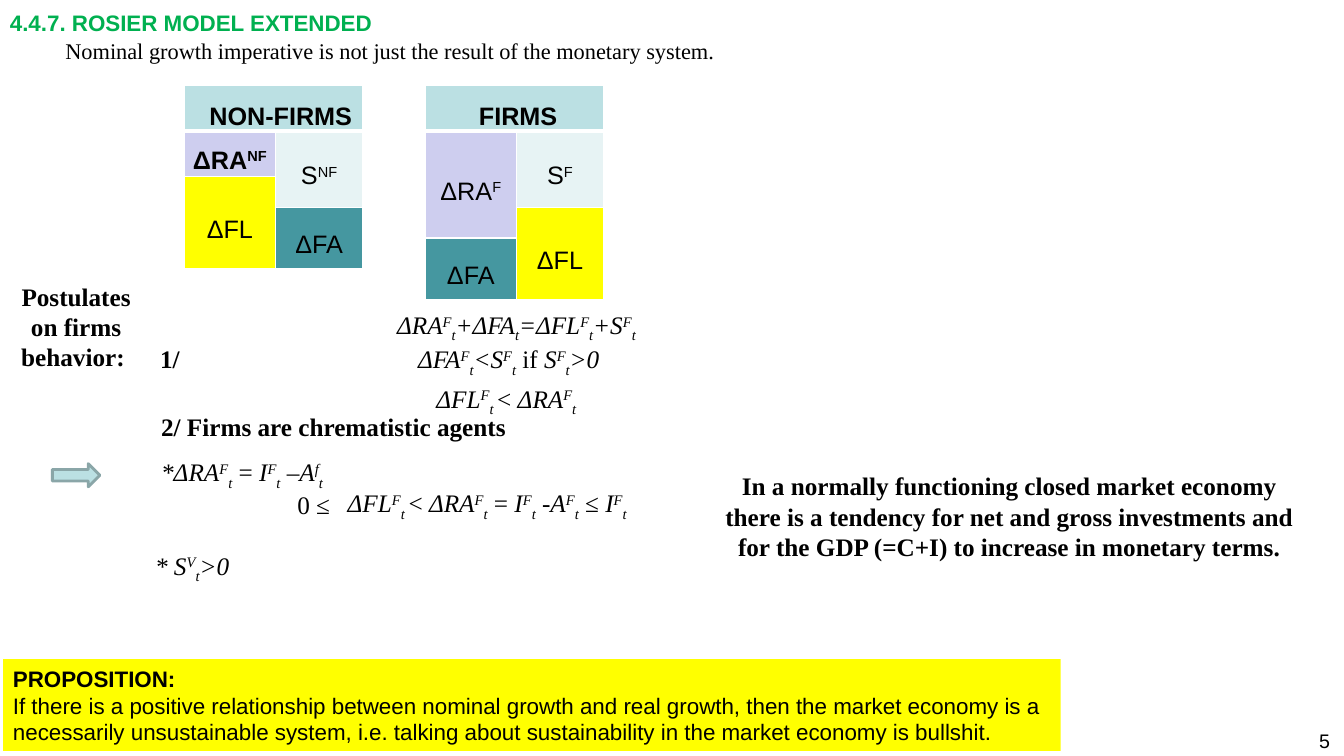
from lxml import etree
from pptx import Presentation
from pptx.dml.color import RGBColor
from pptx.enum.shapes import MSO_SHAPE
from pptx.enum.text import MSO_ANCHOR, MSO_AUTO_SIZE, PP_ALIGN
from pptx.oxml.ns import qn
from pptx.util import Emu, Pt

LEFT, CENTER, RIGHT = PP_ALIGN.LEFT, PP_ALIGN.CENTER, PP_ALIGN.RIGHT
MIDDLE, BOTTOM = MSO_ANCHOR.MIDDLE, MSO_ANCHOR.BOTTOM
FIT_SHAPE = MSO_AUTO_SIZE.SHAPE_TO_FIT_TEXT
RECTANGLE, RIGHT_ARROW = MSO_SHAPE.RECTANGLE, MSO_SHAPE.RIGHT_ARROW

PX = 9144  # 100 px to the inch
SLIDE_SIZE = (1333, 750)
BLACK, WHITE, GREEN, YELLOW = "000000", "FFFFFF", "00B050", "FFFF00"
PALE_BLUE, LILAC, MIST, TEAL = "BBE0E3", "CECEEF", "E7F3F4", "4597A0"
ARROW_LINE = "8AA6A8"

# Formats
SANS = {"name": "Arial", "size": 18, "color": BLACK}
SERIF = {**SANS, "name": "Times New Roman"}
SANS_BOLD = {**SANS, "bold": True}
BOLD = {**SERIF, "bold": True}
FORMULA = {**SERIF, "italic": True}
SMALL_SANS = {**SANS, "size": 16}
SMALL_SERIF = {**SERIF, "size": 16}
TITLE = {**SMALL_SANS, "bold": True, "color": GREEN}
PAGE_NUMBER = {**SANS, "size": 14}

# Markup: {^x} superscript, {_x} subscript, {|x} upright
MARKS = {"^": "30000", "_": "-25000"}

# text, (left, top, width, height), format, alignment, wrap
TEXTS = [
    ("5", (1084, 718, 245, 35), PAGE_NUMBER, RIGHT, True),
    ("4.4.7. ROSIER MODEL EXTENDED", (0, 4, 384, 37), TITLE, LEFT, False),
    ("Nominal growth imperative is not just the result of the monetary system.",
     (55, 32, 677, 37), SMALL_SERIF, LEFT, True),
    ("Postulates on firms behavior: ", (1, 274, 149, 101), BOLD, CENTER, True),
    ("1/", (149, 336, 60, 40), BOLD, LEFT, True),
    ("2/ Firms are chrematistic agents", (150, 403, 427, 40), BOLD, LEFT, True),
    ("In a normally functioning closed market economy there is a tendency for net "
     "and gross investments and for the GDP (=C+I) to increase in monetary terms.",
     (698, 462, 606, 101), BOLD, CENTER, True),
    ("ΔRA{^F}{_t}+ΔFA{_t}=ΔFL{^F}{_t}+S{^F}{_t}", (384, 302, 272, 40), FORMULA, LEFT, False),
    ("ΔFA{^F}{_t}<S{^F}{_t}{| if }S{^F}{_t}>0", (405, 336, 240, 40), FORMULA, LEFT, True),
    ("ΔFL{^F}{_t }{|< }ΔRA{^F}{_t}", (423, 375, 180, 40), FORMULA, LEFT, False),
    ("*ΔRA{^F}{_t}{| = }I{^F}{_t}{| –}A{^f}{_t}", (150, 448, 192, 40), FORMULA, LEFT, False),
    ("0 ≤", (285, 481, 59, 40), SERIF, LEFT, False),
    ("ΔFL{^F}{_t }{|< }ΔRA{^F}{_t}{| = }I{^F}{_t}{| -}A{^F}{_t}{| ≤ }I{^F}{_t}",
     (335, 479, 325, 40), FORMULA, LEFT, False),
    ("* S{^V}{_t}>0", (144, 541, 97, 40), FORMULA, LEFT, False),
]

TABLE_AREA = (183, 85, 416, 211)
COLUMNS = (90, 87, 62, 90, 87)
ROWS = (45, 45, 30, 30, 30, 30)
# (row, column): text, fill, (rows, columns) spanned, format, left inset
BALANCE_CELLS = {
    (0, 0): ("NON-FIRMS", PALE_BLUE, (1, 2), SANS_BOLD, 19),
    (0, 3): ("FIRMS", PALE_BLUE, (1, 2), SANS_BOLD, 12),
    (1, 0): ("ΔRA{^NF}", LILAC, (1, 1), SANS_BOLD, 5),
    (1, 1): ("S{^NF}", MIST, (2, 1), SANS, 5),
    (1, 3): ("ΔRA{^F}", LILAC, (3, 1), SANS, 5),
    (1, 4): ("S{^F}", MIST, (2, 1), SANS, 5),
    (2, 0): ("ΔFL", YELLOW, (3, 1), SANS, 5),
    (3, 1): ("ΔFA", TEAL, (2, 1), SANS, 5),
    (3, 4): ("ΔFL", YELLOW, (3, 1), SANS, 5),
    (4, 3): ("ΔFA", TEAL, (2, 1), SANS, 5),
}

ARROW_AREA = (52, 460, 47, 23)
PROPOSITION_AREA = (3, 654, 1049, 91)
PROPOSITION = [
    ("PROPOSITION:", {**SMALL_SANS, "bold": True}),
    ("If there is a positive relationship between nominal growth and real growth, then the "
     "market economy is a necessarily unsustainable system, i.e. talking about sustainability "
     "in the market economy is bullshit.", SMALL_SANS),
]


def rgb(value):
    return RGBColor.from_string(value)


def emu(lengths):
    return [Emu(length * PX) for length in lengths]


def write(para, text, style, align):
    """Fill a paragraph from marked-up text."""
    para.alignment = align
    for index, part in enumerate(text.replace("}", "{").split("{")):
        if not part:
            continue
        mark, words = (part[0], part[1:]) if index % 2 else ("", part)
        span = para.add_run()
        span.text = words
        values = {"bold": False, "italic": False, **style, "size": Pt(style["size"])}
        span.font.color.rgb = rgb(values.pop("color"))
        if mark == "|":
            values["italic"] = False
        for name, value in values.items():
            setattr(span.font, name, value)
        if mark in MARKS:
            span.font._element.set("baseline", MARKS[mark])


def add_borders(cell, row):
    """White cell edges, thicker under the heading row."""
    properties = cell._tc.get_or_add_tcPr()
    thick_edge = {0: "lnB", 1: "lnT"}.get(row)
    for edge in ("lnL", "lnR", "lnT", "lnB"):
        width = Pt(3 if edge == thick_edge else 1)
        line = etree.SubElement(properties, qn(f"a:{edge}"), w=str(width))
        fill = etree.SubElement(line, qn("a:solidFill"))
        etree.SubElement(fill, qn("a:srgbClr"), val=WHITE)


def add_balance_table(page):
    table = page.shapes.add_table(len(ROWS), len(COLUMNS), *emu(TABLE_AREA)).table
    table.first_row = table.horz_banding = False
    for column, width in zip(table.columns, emu(COLUMNS)):
        column.width = width
    for row, height in zip(table.rows, emu(ROWS)):
        row.height = height
    for row in range(len(ROWS)):
        for column in range(len(COLUMNS)):
            cell = table.cell(row, column)
            cell.margin_top = cell.margin_bottom = 0
            add_borders(cell, row)
            cell.fill.background()
    for (row, column), (text, color, (height, width), style, inset) in BALANCE_CELLS.items():
        cell = table.cell(row, column)
        cell.merge(table.cell(row + height - 1, column + width - 1))
        cell.fill.solid()
        cell.fill.fore_color.rgb = rgb(color)
        cell.margin_left, cell.margin_right = emu((inset, 5))
        cell.vertical_anchor = MIDDLE if row else BOTTOM
        para = cell.text_frame.paragraphs[0]
        para.line_spacing = 1.5
        write(para, text, style, CENTER)


def add_text(page, text, area, style, align, wrap):
    frame = page.shapes.add_textbox(*emu(area)).text_frame
    frame.word_wrap = wrap
    frame.auto_size = FIT_SHAPE
    write(frame.paragraphs[0], text, style, align)


def add_filled_shape(page, kind, area, color):
    shape = page.shapes.add_shape(kind, *emu(area))
    shape.shadow.inherit = False
    shape.fill.solid()
    shape.fill.fore_color.rgb = rgb(color)
    return shape


def main():
    deck = Presentation()
    deck.slide_width, deck.slide_height = emu(SLIDE_SIZE)
    page = deck.slides.add_slide(deck.slide_layouts[6])

    add_balance_table(page)
    for entry in TEXTS:
        add_text(page, *entry)

    arrow = add_filled_shape(page, RIGHT_ARROW, ARROW_AREA, PALE_BLUE)
    arrow.line.color.rgb = rgb(ARROW_LINE)
    arrow.line.width = Pt(2)

    box = add_filled_shape(page, RECTANGLE, PROPOSITION_AREA, YELLOW)
    box.line.fill.background()
    frame = box.text_frame
    frame.word_wrap = True
    frame.vertical_anchor = MIDDLE
    for index, (text, style) in enumerate(PROPOSITION):
        para = frame.add_paragraph() if index else frame.paragraphs[0]
        write(para, text, style, LEFT)

    deck.save("out.pptx")


if __name__ == "__main__":
    main()
